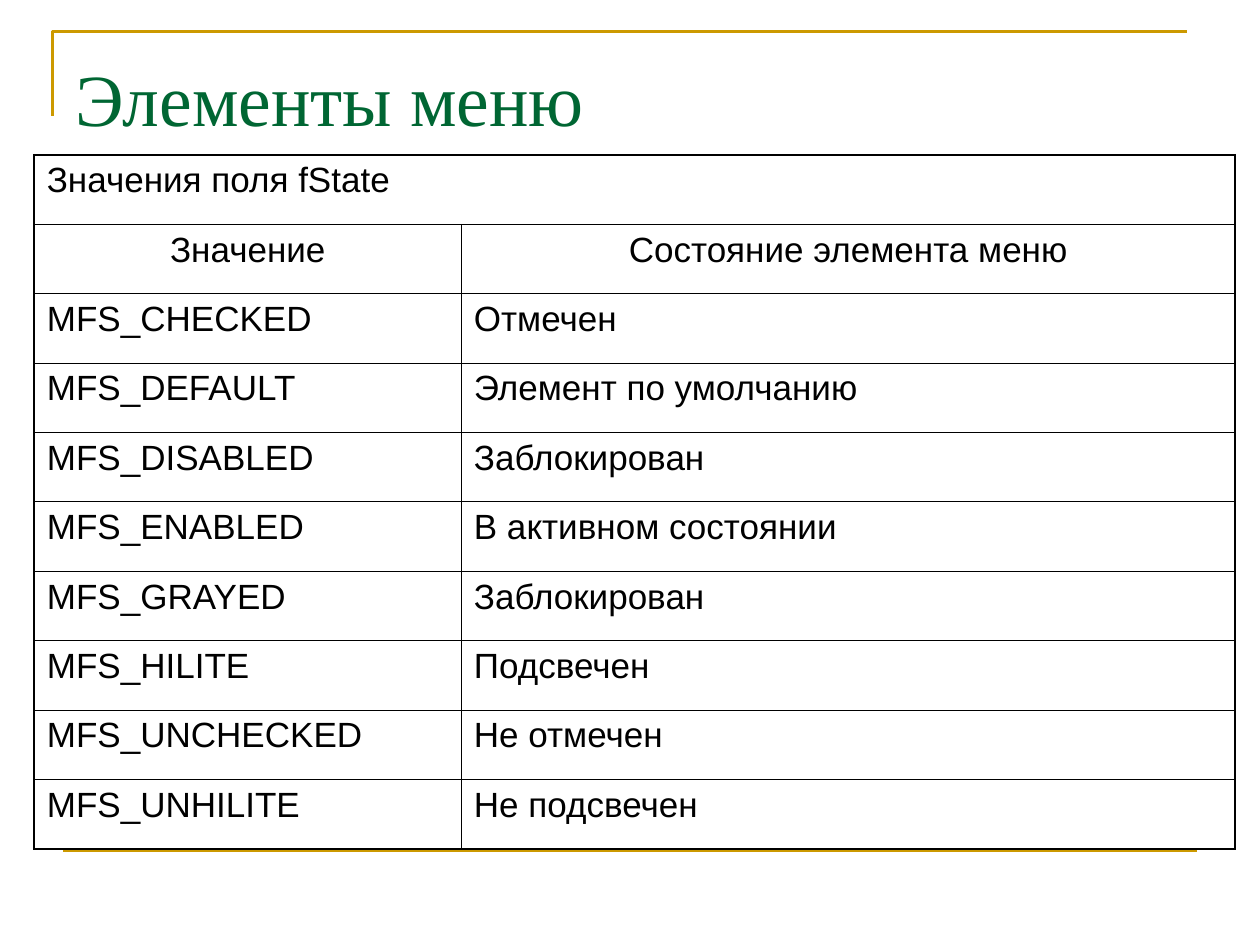
from dataclasses import dataclass

from lxml import etree
from pptx import Presentation
from pptx.dml.color import RGBColor
from pptx.enum.shapes import MSO_CONNECTOR
from pptx.enum.text import MSO_ANCHOR, PP_ALIGN
from pptx.oxml.ns import qn
from pptx.util import Cm, Pt

LEFT, CENTER = PP_ALIGN.LEFT, PP_ALIGN.CENTER
TOP = MSO_ANCHOR.TOP
STRAIGHT = MSO_CONNECTOR.STRAIGHT


@dataclass(frozen=True)
class Theme:
    gold: RGBColor = RGBColor(0xCC, 0x99, 0x00)
    green: RGBColor = RGBColor(0x00, 0x66, 0x33)
    black: RGBColor = RGBColor(0, 0, 0)
    title_font: str = "Times New Roman"
    body_font: str = "Arial"
    title_size: int = 42
    body_size: int = 20
    rule: float = 1.5
    outer_border: float = 1.08
    inner_border: float = 0.45


theme = Theme()


def write(tf, text, *, font, size, color, align=LEFT, before=0):
    p = tf.paragraphs[0]
    p.alignment = align
    p.space_before = Pt(before)
    r = p.add_run()
    r.text = text
    r.font.name = font
    r.font.size = Pt(size)
    r.font.color.rgb = color


def set_border(cell, side, width):
    """Draw one side of a cell: L, R, T or B, added in that order."""
    ln = etree.SubElement(cell._tc.get_or_add_tcPr(), qn(f"a:ln{side}"), w=str(Pt(width)))
    fill = etree.SubElement(ln, qn("a:solidFill"))
    etree.SubElement(fill, qn("a:srgbClr"), val=str(theme.black))


prs = Presentation()
prs.slide_width, prs.slide_height = Cm(25.4), Cm(19.05)
s = prs.slides.add_slide(prs.slide_layouts[6])

# Gold corner above the title and gold rule at the foot
builder = s.shapes.build_freeform(Cm(1.06), Cm(2.33))
builder.add_line_segments([(Cm(1.06), Cm(0.64)), (Cm(23.92), Cm(0.64))], close=False)
corner = builder.convert_to_shape()
corner.fill.background()
corner.shadow.inherit = False

foot = s.shapes.add_connector(STRAIGHT, Cm(1.27), Cm(17.15), Cm(24.13), Cm(17.15))
etree.SubElement(foot._element.spPr, qn("a:effectLst"))
for sp in (corner, foot):
    sp.line.color.rgb = theme.gold
    sp.line.width = Pt(theme.rule)
# The effect list has to follow the line properties
foot._element.spPr.append(foot._element.spPr.find(qn("a:effectLst")))

# Title
title = s.shapes.add_textbox(Cm(1.27), Cm(0.76), Cm(22.86), Cm(3.18))
tf = title.text_frame
tf.word_wrap = True
tf.vertical_anchor = TOP
tf.margin_top = Cm(0.31)
write(tf, "Элементы меню", font=theme.title_font, size=theme.title_size, color=theme.green)

# Table of fState values
rows = [
    ("Значения поля fState", ""),
    ("Значение", "Состояние элемента меню"),
    ("MFS_CHECKED", "Отмечен"),
    ("MFS_DEFAULT", "Элемент по умолчанию"),
    ("MFS_DISABLED", "Заблокирован"),
    ("MFS_ENABLED", "В активном состоянии"),
    ("MFS_GRAYED", "Заблокирован"),
    ("MFS_HILITE", "Подсвечен"),
    ("MFS_UNCHECKED", "Не отмечен"),
    ("MFS_UNHILITE", "Не подсвечен"),
]
col_widths = [Cm(8.61), Cm(15.6)]
row_height = Cm(1.4)
header_row = 1
last_row, last_col = len(rows) - 1, len(col_widths) - 1

frame = s.shapes.add_table(len(rows), len(col_widths), Cm(0.69), Cm(3.12),
                           sum(col_widths), row_height * len(rows))
table = frame.table
table.first_row = table.horz_banding = False
for column, width in zip(table.columns, col_widths):
    column.width = width
for row in table.rows:
    row.height = row_height
table.cell(0, 0).merge(table.cell(0, last_col))

for i, texts in enumerate(rows):
    for j, text in enumerate(texts):
        cell = table.cell(i, j)
        on_edge = {"L": j == 0, "R": j == last_col or i == 0,
                   "T": i == 0, "B": i == last_row}
        for side, outer in on_edge.items():
            set_border(cell, side, theme.outer_border if outer else theme.inner_border)
        cell.fill.background()
        if text:
            write(cell.text_frame, text, font=theme.body_font, size=theme.body_size,
                  color=theme.black, align=CENTER if i == header_row else LEFT, before=5)

prs.save("out.pptx")
